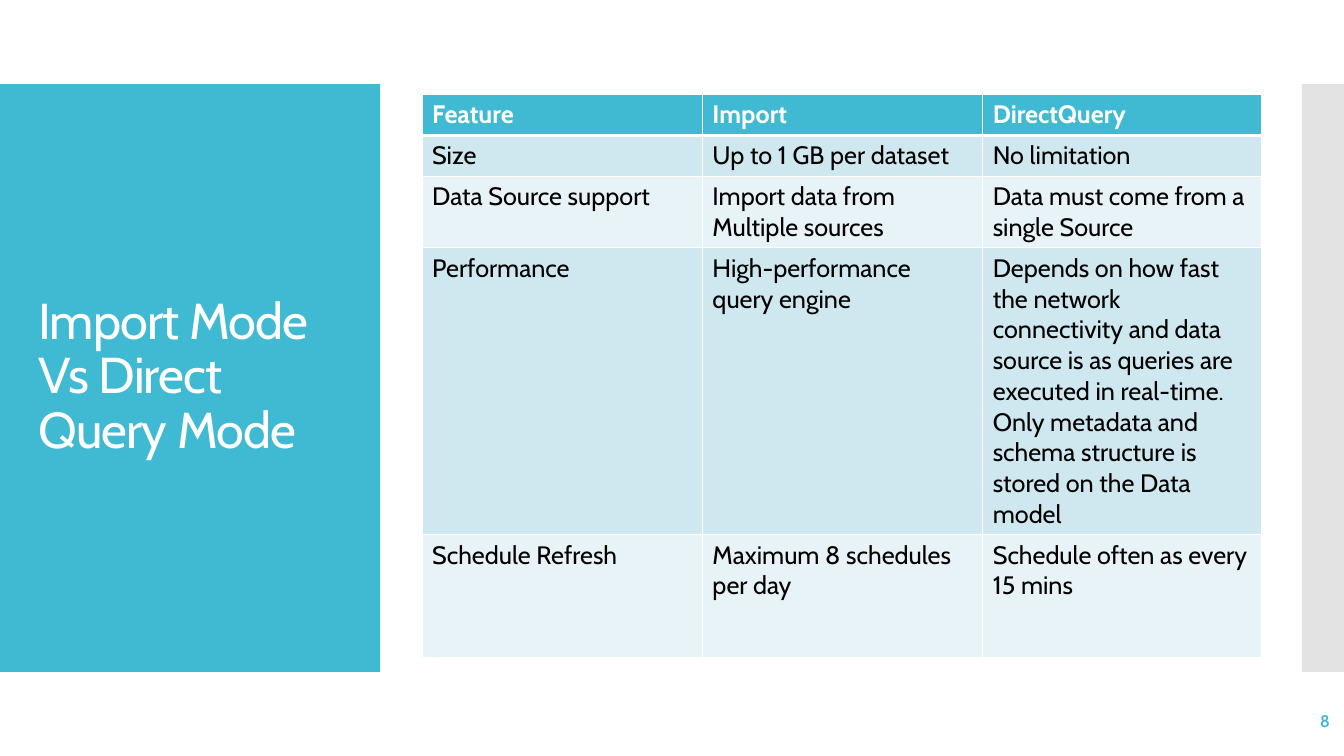
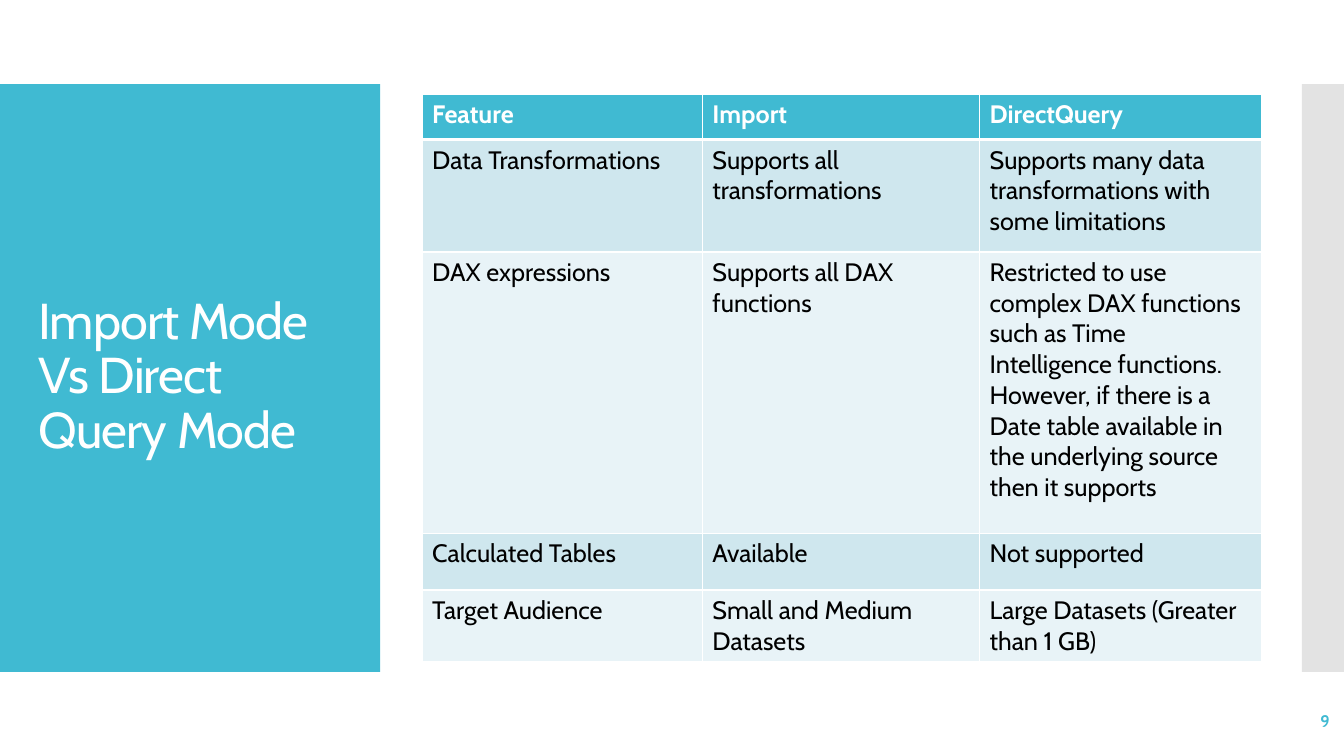
import lxml.etree
import pptx
import pptx.dml.color
import pptx.enum.shapes
import pptx.enum.text
import pptx.oxml.ns
import pptx.util

EMU_PER_PX = 9525
FONT = "Cabin"
COLOURS = {
    "accent": "40BAD2",
    "side": "C8C8C8",
    "odd_row": "CFE7EE",
    "even_row": "E8F3F7",
    "white": "FFFFFF",
    "black": "000000",
}
TITLE = "Import Mode Vs Direct Query Mode"
HEADER = ("Feature", "Import", "DirectQuery")
COMPARISONS = [
    {
        "number": 8,
        "columns": (267, 267, 266),
        "heights": (36, 36, 62, 224, 117),
        "rows": [
            ("Size", "Up to 1 GB per dataset", "No limitation"),
            ("Data Source support", "Import data from Multiple sources",
             "Data must come from a single Source"),
            ("Performance", "High-performance query engine",
             "Depends on how fast the network connectivity and data source is "
             "as queries are executed in real-time. Only metadata and schema "
             "structure is stored on the Data model"),
            ("Schedule Refresh", "Maximum 8 schedules per day",
             "Schedule often as every 15 mins"),
        ],
    },
    {
        "number": 9,
        "columns": (267, 264, 269),
        "heights": (43, 107, 268, 54, 54),
        "rows": [
            ("Data Transformations", "Supports all transformations",
             "Supports many data transformations with some limitations"),
            ("DAX expressions", "Supports all DAX functions",
             "Restricted to use complex DAX functions such as Time Intelligence "
             "functions. However, if there is a Date table available in the "
             "underlying source then it supports"),
            ("Calculated Tables", "Available", "Not supported"),
            ("Target Audience", "Small and Medium Datasets",
             "Large Datasets (Greater than 1 GB)"),
        ],
    },
]


def px(length):
    return pptx.util.Emu(length * EMU_PER_PX)


def colour(name):
    return pptx.dml.color.RGBColor.from_string(COLOURS[name])


def add_child(parent, tag, **attributes):
    return lxml.etree.SubElement(parent, pptx.oxml.ns.qn(tag), attributes)


def add_span(para, text, size, colour_name, bold=False):
    span = para.add_run()
    span.text = text
    span.font.name = FONT
    span.font.size = pptx.util.Pt(size)
    span.font.bold = bold
    span.font.color.rgb = colour(colour_name)
    return span


def add_band(slide, left, width, colour_name):
    band = slide.shapes.add_shape(
        pptx.enum.shapes.MSO_SHAPE.RECTANGLE, px(left), px(80), px(width), px(560))
    band.shadow.inherit = False
    band.fill.solid()
    band.fill.fore_color.rgb = colour(colour_name)
    band.line.fill.background()
    return band


def set_up_layout(layout, slide):
    """Place the title and move two bands, drawn on the slide, to its layout."""
    title = layout.placeholders[0]
    title.left, title.top, title.width, title.height = map(px, (27, 118, 309, 483))
    title_band = add_band(slide, 0, 362, "accent")
    side_band = add_band(slide, 1240, 40, "side")
    side_colour = side_band.fill._xPr.find(".//" + pptx.oxml.ns.qn("a:srgbClr"))
    add_child(side_colour, "a:alpha", val="50000")
    for order, band in enumerate((title_band, side_band)):
        band._element.nvSpPr.cNvPr.set("id", str(20 + order))
        layout.shapes._spTree.insert(2 + order, band._element)


def write_title(slide):
    frame = slide.shapes.title.text_frame
    frame.word_wrap = True
    frame.auto_size = pptx.enum.text.MSO_AUTO_SIZE.NONE
    frame.vertical_anchor = pptx.enum.text.MSO_ANCHOR.MIDDLE
    para = frame.paragraphs[0]
    para.alignment = pptx.enum.text.PP_ALIGN.LEFT
    para.line_spacing = 0.9
    span = add_span(para, TITLE, 36, "white")
    span.font._element.set("spc", "-60")


def set_borders(cell, top, bottom):
    """Draw white borders; top and bottom are widths in points."""
    properties = cell._tc.get_or_add_tcPr()
    for side, width in (("L", 1), ("R", 1), ("T", top), ("B", bottom)):
        line = add_child(properties, "a:ln" + side, w=str(pptx.util.Pt(width)))
        fill = add_child(line, "a:solidFill")
        add_child(fill, "a:srgbClr", val=COLOURS["white"])


def fill_cell(cell, text, row):
    is_header = row == 0
    set_borders(cell, top=3 if row == 1 else 1, bottom=3 if is_header else 1)
    cell.fill.solid()
    band = "accent" if is_header else "odd_row" if row % 2 else "even_row"
    cell.fill.fore_color.rgb = colour(band)
    add_span(cell.text_frame.paragraphs[0], text, 18,
             "white" if is_header else "black", bold=is_header)


def add_comparison_table(slide, columns, heights, rows):
    table = slide.shapes.add_table(
        len(heights), len(columns), px(402), px(90),
        px(sum(columns)), px(sum(heights))).table
    for column, width in zip(table.columns, columns):
        column.width = px(width)
    for row, (height, texts) in enumerate(zip(heights, [HEADER, *rows])):
        table.rows[row].height = px(height)
        for column, text in enumerate(texts):
            fill_cell(table.cell(row, column), text, row)


def add_slide_number(slide, number):
    box = slide.shapes.add_textbox(px(1116), px(667), px(160), px(38))
    frame = box.text_frame
    frame.word_wrap = True
    frame.vertical_anchor = pptx.enum.text.MSO_ANCHOR.MIDDLE
    para = frame.paragraphs[0]
    para.alignment = pptx.enum.text.PP_ALIGN.RIGHT
    add_span(para, str(number), 12, "accent", bold=True)


def main():
    deck = pptx.Presentation()
    deck.slide_width, deck.slide_height = px(1280), px(720)
    layout = deck.slide_layouts.get_by_name("Title Only")
    for index, comparison in enumerate(COMPARISONS):
        slide = deck.slides.add_slide(layout)
        if index == 0:
            set_up_layout(layout, slide)
        write_title(slide)
        add_comparison_table(slide, comparison["columns"],
                             comparison["heights"], comparison["rows"])
        add_slide_number(slide, comparison["number"])
    deck.save("out.pptx")


if __name__ == "__main__":
    main()
